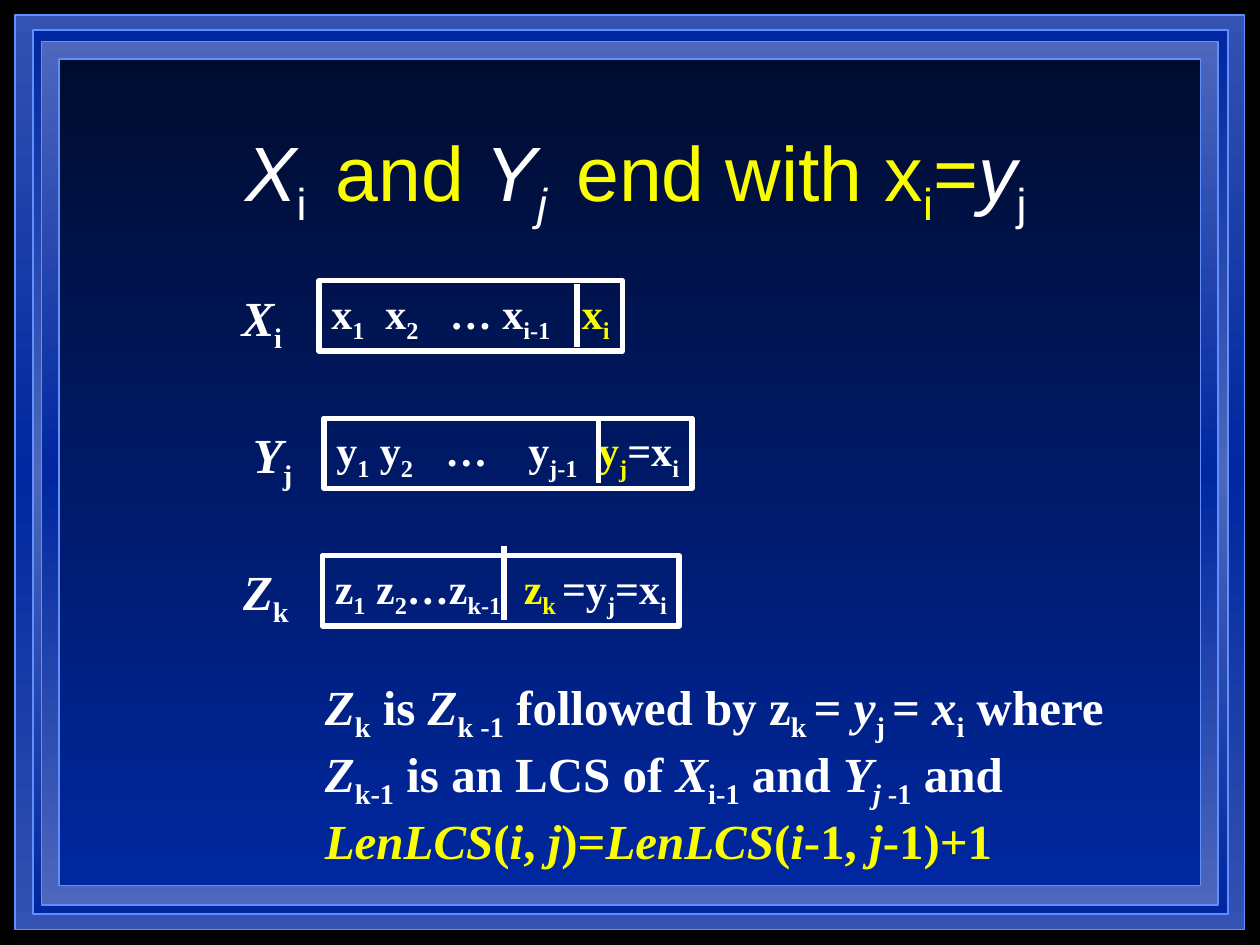
from copy import deepcopy
from lxml.etree import SubElement
from pptx import Presentation
from pptx.dml.color import RGBColor
from pptx.enum.shapes import MSO_CONNECTOR, MSO_SHAPE
from pptx.enum.text import MSO_ANCHOR, PP_ALIGN
from pptx.oxml.ns import qn
from pptx.util import Cm, Pt

COLORS = {"black": "000000", "white": "FFFFFF", "yellow": "FAFD00",
          "edge": "618FFD", "deep": "00279F", "mid": "3352B2",
          "pale": "4C67BC", "night": "000C2F"}

# Nested frames: box in cm, gradient colours from top to bottom
FRAMES = [
    ((0.3, 0.3, 24.79, 18.44), ("mid", "deep", "mid")),
    ((0.66, 0.61, 24.1, 17.81), ("deep", "pale", "deep")),
    ((0.84, 0.84, 23.72, 17.4), ("pale", "deep", "pale")),
    ((1.19, 1.19, 23.01, 16.66), ("night", "deep")),
]

# Runs are (text, flags): i italic, _ subscript, y yellow, L large
TITLE = [("X", "i"), ("i", "_"), (" ", "yL"), ("and ", "y"), ("Y", "i"),
         ("j", "i_"), (" ", "yL"), ("end with x", "y"), ("i", "y_"),
         ("=", "y"), ("y", "i"), ("j", "_")]

# Sequences: label, its box, cell text, its box, tab stops, divider (x, top, bottom)
ROWS = [
    ([("X", "i"), ("i", "_")], (4.62, 5.66, 1.32, 1.6),
     [("x", ""), ("1", "_"), ("\tx", ""), ("2", "_"), ("\t… x", ""),
      ("i-1", "_"), ("\t", ""), ("x", "y"), ("i", "y_")],
     (6.43, 5.66, 6.12, 1.42), (1.09, 2.39, 5.05), (11.63, 5.72, 6.99)),
    ([("Y", "i"), ("j", "_")], (4.85, 8.43, 1.3, 1.6),
     [("y", ""), ("1", "_"), (" y", ""), ("2", "_"), ("\t…\ty", ""),
      ("j-1", "_"), ("\t", ""), ("y", "y"), ("j", "y_"), ("=x", ""), ("i", "_")],
     (6.53, 8.43, 7.42, 1.42), (2.2, 3.87, 5.28), (12.07, 8.46, 9.73)),
    ([("Z", "i"), ("k", "_")], (4.65, 11.18, 1.42, 1.6),
     [("z", ""), ("1", "_"), (" z", ""), ("2", "_"), ("…z", ""), ("k-1", "_"),
      ("\t", ""), ("z", "y"), ("k ", "y_"), ("=y", ""), ("j", "_"),
      ("=x", ""), ("i", "_")],
     (6.5, 11.2, 7.19, 1.42), (3.81,), (10.16, 11, 12.5)),
]

CONCLUSION = [
    [("Z", "i"), ("k", "_"), (" is ", ""), ("Z", "i"), ("k -1", "_"),
     (" followed by z", ""), ("k ", "_"), ("= ", ""), ("y", "i"), ("j ", "_"),
     ("= ", ""), ("x", "i"), ("i", "_"), (" where", "")],
    [("Z", "i"), ("k-1", "_"), (" is an LCS of ", ""), ("X", "i"), ("i-1", "_"),
     (" and ", ""), ("Y", "i"), ("j", "i_"), (" -1", "_"), (" and", "")],
    [("LenLCS", "iy"), ("(", "y"), ("i", "iy"), (", ", "y"), ("j", "iy"),
     (")=", "y"), ("LenLCS", "iy"), ("(", "y"), ("i", "iy"), ("-1, ", "y"),
     ("j", "iy"), ("-1)+1", "y")],
]

HEADING = {"name": "Arial", "size": Pt(44), "bold": False}
LARGE = {"name": "Times New Roman", "size": Pt(28), "bold": True}
CELL = {**LARGE, "size": Pt(24)}


def rgb(name):
    return RGBColor.from_string(COLORS[name])


def cm(values):
    return [Cm(v) for v in values]


def write(tf, paragraphs, fmt, tabs=(), align=PP_ALIGN.LEFT, anchor=MSO_ANCHOR.TOP):
    frame = {"word_wrap": True, "vertical_anchor": anchor, "margin_left": Cm(0.25),
             "margin_right": Cm(0), "margin_top": Cm(0.13), "margin_bottom": Cm(0.13)}
    for key, value in frame.items():
        setattr(tf, key, value)
    for n, runs in enumerate(paragraphs):
        p = tf.add_paragraph() if n else tf.paragraphs[0]
        p.alignment = align
        if tabs:
            stops = SubElement(p._p.get_or_add_pPr(), qn("a:tabLst"))
            for pos in tabs:
                SubElement(stops, qn("a:tab"), pos=str(Cm(pos)), algn="l")
        for text, flags in runs:
            r = p.add_run()
            r.text = text
            for key, value in {**fmt, "italic": "i" in flags}.items():
                setattr(r.font, key, value)
            if "L" in flags:
                r.font.size = Pt(60)
            r.font.color.rgb = rgb("yellow" if "y" in flags else "white")
            if "_" in flags:
                r._r.get_or_add_rPr().set("baseline", "-25000")


def add_rect(s, box, edge, width):
    sp = s.shapes.add_shape(MSO_SHAPE.RECTANGLE, *cm(box))
    sp.shadow.inherit = False
    sp.line.color.rgb = rgb(edge)
    sp.line.width = Pt(width)
    return sp


def add_text(s, box, paragraphs, fmt, **options):
    write(s.shapes.add_textbox(*cm(box)).text_frame, paragraphs, fmt, **options)


def fill_gradient(sp, names):
    sp.fill.gradient()
    sp.fill.gradient_angle = 270
    stops = sp._element.spPr.find(".//" + qn("a:gsLst"))
    while len(stops) < len(names):
        stops.append(deepcopy(stops[0]))
    for n, (stop, name) in enumerate(zip(sp.fill.gradient_stops, names)):
        stop.position = n / (len(names) - 1)
        stop.color.rgb = rgb(name)


def main():
    prs = Presentation()
    prs.slide_width, prs.slide_height = Cm(25.4), Cm(19.05)
    s = prs.slides.add_slide(prs.slide_layouts[6])
    s.background.fill.solid()
    s.background.fill.fore_color.rgb = rgb("black")

    # Frames
    for box, names in FRAMES:
        fill_gradient(add_rect(s, box, "edge", 1), names)

    # Title
    add_text(s, (1.9, 1.7, 21.59, 3.18), [TITLE], HEADING,
             align=PP_ALIGN.CENTER, anchor=MSO_ANCHOR.MIDDLE)

    # Sequences with a divider before the last element
    for label, label_box, cells, box, tabs, (x, top, bottom) in ROWS:
        add_text(s, label_box, [label], LARGE)
        sp = add_rect(s, box, "white", 3)
        sp.fill.background()
        write(sp.text_frame, [cells], CELL, tabs)
        line = s.shapes.add_connector(MSO_CONNECTOR.STRAIGHT, *cm((x, top, x, bottom)))
        line.line.color.rgb = rgb("white")
        line.line.width = Pt(3)
        SubElement(line._element.spPr, qn("a:effectLst"))

    # Conclusion
    add_text(s, (6.3, 13.51, 16.48, 4.14), CONCLUSION, LARGE)

    prs.save("out.pptx")


if __name__ == "__main__":
    main()
